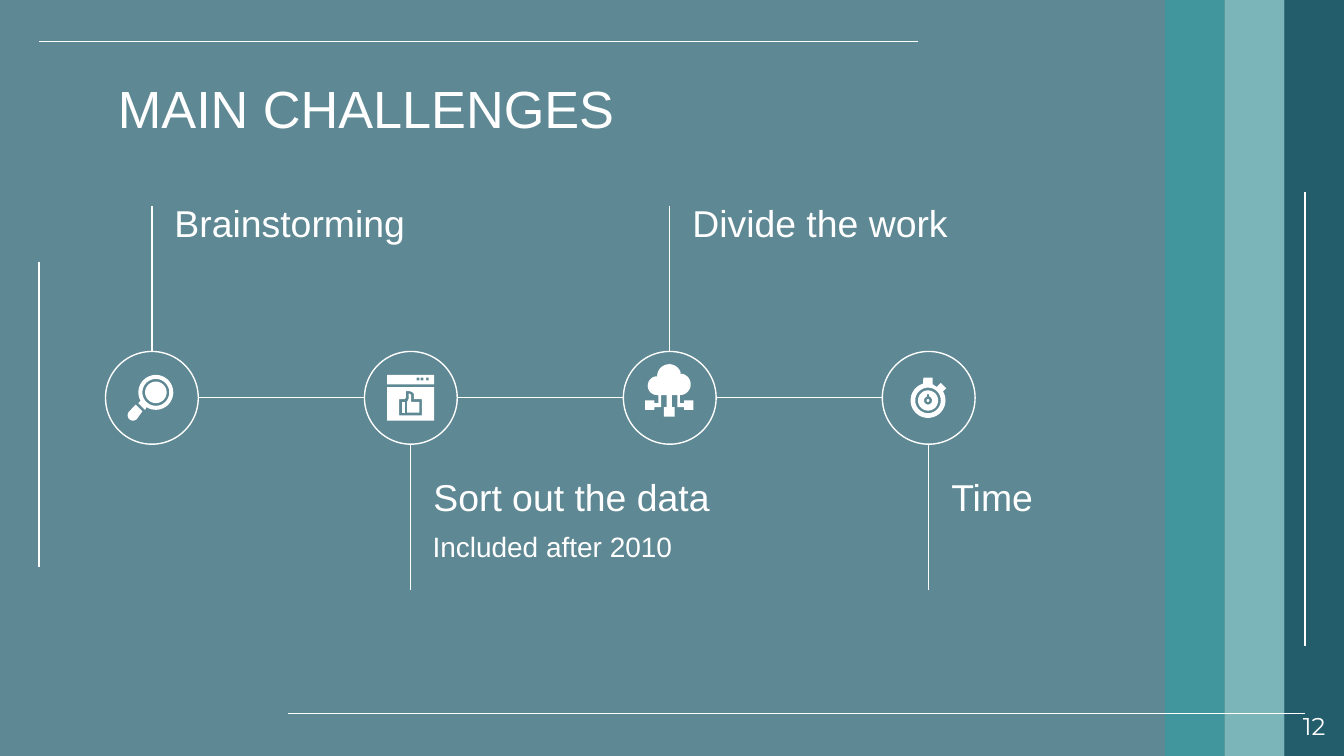
import math

import lxml.etree
import pptx
import pptx.dml.color
import pptx.enum.shapes
import pptx.enum.text
import pptx.oxml.ns
import pptx.util
from pptx.util import Inches

WHITE = "FFFFFF"
DARK = "014355"
SLIDE_WIDTH = 10
SLIDE_HEIGHT = SLIDE_WIDTH * 9 / 16
STRIPE_WIDTH = 4 / 9
FIRST_CENTER, LAST_CENTER = 1.13, 6.91
MIDDLE, RADIUS = 2.96, 0.345
STEM_TOP, STEM_BOTTOM = 1.53, 4.39
STEPS = [
    ("Brainstorming", True, 2.24),
    ("Sort out the data", False, 2.74),
    ("Divide the work", True, 2.24),
    ("Time", False, 2.24),
]
STEP_PITCH = (LAST_CENTER - FIRST_CENTER) / (len(STEPS) - 1)


def color(value):
    """Return the colour for a hex string."""
    return pptx.dml.color.RGBColor.from_string(value)


def add_panel(slide, left, width, fill, opacity):
    """Add a full-height translucent rectangle."""
    shape = slide.shapes.add_shape(
        pptx.enum.shapes.MSO_SHAPE.RECTANGLE,
        Inches(left), 0, Inches(width), Inches(SLIDE_HEIGHT))
    shape.shadow.inherit = False
    shape.line.fill.background()
    shape.fill.solid()
    shape.fill.fore_color.rgb = color(fill)
    tint = shape._element.spPr.find(".//" + pptx.oxml.ns.qn("a:srgbClr"))
    alpha = lxml.etree.SubElement(tint, pptx.oxml.ns.qn("a:alpha"))
    alpha.set("val", str(opacity * 1000))


def add_line(slide, x1, y1, x2, y2):
    """Add a thin white straight line."""
    line = slide.shapes.add_connector(
        pptx.enum.shapes.MSO_CONNECTOR.STRAIGHT,
        Inches(x1), Inches(y1), Inches(x2), Inches(y2))
    line.line.color.rgb = color(WHITE)
    line.line.width = pptx.util.Pt(0.75)
    lxml.etree.SubElement(line._element.spPr, pptx.oxml.ns.qn("a:effectLst"))


def add_text(slide, text, left, top, width, height, size, font="Arial", align="LEFT"):
    """Add a one-paragraph white text box."""
    box = slide.shapes.add_textbox(
        Inches(left), Inches(top), Inches(width), Inches(height))
    frame = box.text_frame
    frame.word_wrap = True
    frame.margin_left = frame.margin_right = Inches(0.1)
    frame.margin_top = frame.margin_bottom = Inches(0.1)
    paragraph = frame.paragraphs[0]
    paragraph.text = text
    paragraph.alignment = pptx.enum.text.PP_ALIGN[align]
    paragraph.font.size = pptx.util.Pt(size)
    paragraph.font.name = font
    paragraph.font.color.rgb = color(WHITE)


def add_circle(slide, center):
    """Add an outlined step circle."""
    shape = slide.shapes.add_shape(
        pptx.enum.shapes.MSO_SHAPE.OVAL, Inches(center - RADIUS),
        Inches(MIDDLE - RADIUS), Inches(2 * RADIUS), Inches(2 * RADIUS))
    shape.shadow.inherit = False
    shape.fill.background()
    shape.line.color.rgb = color(WHITE)
    shape.line.width = pptx.util.Pt(0.75)


def arc(x, y, radius, start=0, end=360):
    """Return points along an arc, in degrees clockwise from the right."""
    count = max(4, round((end - start) / 8))
    angles = [math.radians(start + (end - start) * i / count) for i in range(count + 1)]
    return [(x + radius * math.cos(a), y + radius * math.sin(a)) for a in angles]


def rectangle(left, top, right, bottom):
    """Return the corners of a rectangle."""
    return [(left, top), (right, top), (right, bottom), (left, bottom)]


def add_outline(slide, *contours):
    """Add a white freeform whose later contours cut holes."""
    contours = [[(Inches(x), Inches(y)) for x, y in points] for points in contours]
    builder = slide.shapes.build_freeform(*contours[0][0])
    builder.add_line_segments(contours[0][1:], close=True)
    for points in contours[1:]:
        builder.move_to(*points[0])
        builder.add_line_segments(points[1:], close=True)
    shape = builder.convert_to_shape()
    shape.shadow.inherit = False
    shape.line.fill.background()
    shape.fill.solid()
    shape.fill.fore_color.rgb = color(WHITE)


def add_magnifier(slide):
    """Draw the magnifying glass."""
    x, y = 1.16, 2.92
    add_outline(slide, arc(x, y, 0.08))
    add_outline(slide, arc(x, y, 0.13, 151, 482) + [(1.08, 3.05), (1.03, 3)],
                arc(x, y, 0.1))
    add_outline(slide, [(1.01, 3.01), (1.06, 3.06)] + arc(0.99, 3.09, 0.04, 45, 225))


def add_browser(slide):
    """Draw the browser window with a thumb up."""
    buttons = [rectangle(x, 2.81, x + 0.02, 2.83) for x in (3.1, 3.13, 3.17)]
    add_outline(slide, rectangle(2.88, 2.79, 3.23, 2.86), *buttons)
    hand = [(3.02, 2.91), (3.05, 2.91), (3.07, 2.92), (3.08, 2.93), (3.08, 2.97),
            (3.14, 2.97), (3.14, 3.09), (2.97, 3.09), (2.97, 2.97), (3.01, 2.97),
            (3.02, 2.96)]
    add_outline(slide, rectangle(2.88, 2.88, 3.23, 3.13), hand)
    add_outline(slide, rectangle(2.99, 2.99, 3.01, 3.07))
    add_outline(slide, [(3.04, 2.93), (3.05, 2.93), (3.06, 2.94), (3.06, 2.99),
                        (3.12, 2.99), (3.12, 3.07), (3.03, 3.07), (3.03, 2.99),
                        (3.04, 2.97)])


def add_cloud(slide):
    """Draw the cloud linked to three nodes."""
    middle = 4.98
    half = [(0.08, 2.94), (0.08, 3), (0.11, 3), (0.11, 2.98), (0.18, 2.98),
            (0.18, 3.05), (0.11, 3.05), (0.11, 3.03), (0.06, 3.03), (0.06, 2.94),
            (0.02, 2.94), (0.02, 3.03), (0.04, 3.03), (0.04, 3.1)]
    right = [(middle + x, y) for x, y in half]
    left = [(middle - x, y) for x, y in reversed(half)]
    add_outline(slide, arc(middle, 2.8, 0.09, 180, 341)
                + arc(5.06, 2.86, 0.08, -90, 90) + right + left
                + arc(4.89, 2.87, 0.07, 90, 270))


def add_stopwatch(slide):
    """Draw the stopwatch."""
    x, y = 6.905, 2.98
    add_outline(slide, arc(x, y, 0.01))
    add_outline(slide, arc(x, y, 0.075),
                arc(x, y, 0.03, -70, 250) + [(6.9, 2.93), (6.91, 2.93)])
    crown = [(6.87, 2.81), (6.94, 2.81), (6.94, 2.86), (6.97, 2.88),
             (7, 2.85), (7.04, 2.89), (7.01, 2.92)]
    add_outline(slide, arc(x, y, 0.13, -30, 254) + crown, arc(x, y, 0.095))


def add_backdrop(slide):
    """Add the tinted background, stripes and frame lines."""
    add_panel(slide, 0, SLIDE_WIDTH, DARK, 63)
    stripes = [(DARK, 63), ("98E0E0", 50), ("20A7A7", 47)]
    for number, (fill, opacity) in enumerate(stripes, 1):
        add_panel(slide, SLIDE_WIDTH - number * STRIPE_WIDTH, STRIPE_WIDTH, fill, opacity)
    for ends in [(9.71, 1.43, 9.71, 4.81), (9.71, 5.31, 2.14, 5.31),
                 (0.29, 0.31, 6.83, 0.31), (0.29, 1.95, 0.29, 4.22)]:
        add_line(slide, *ends)


def add_step(slide, index, label, upward, width):
    """Add a circle with its stem, label and link to the next step."""
    center = FIRST_CENTER + index * STEP_PITCH
    add_circle(slide, center)
    if upward:
        add_line(slide, center, MIDDLE - RADIUS, center, STEM_TOP)
    else:
        add_line(slide, center, STEM_BOTTOM, center, MIDDLE + RADIUS)
    add_text(slide, label, center + 0.07, 1.39 if upward else 3.43, width, 0.4, 20)
    if index < len(STEPS) - 1:
        add_line(slide, center + RADIUS, MIDDLE, center + STEP_PITCH - RADIUS, MIDDLE)


def main():
    """Build and save the slide."""
    presentation = pptx.Presentation()
    presentation.slide_width = Inches(SLIDE_WIDTH)
    presentation.slide_height = Inches(SLIDE_HEIGHT)
    slide = presentation.slides.add_slide(presentation.slide_layouts[6])
    add_backdrop(slide)
    add_text(slide, "MAIN CHALLENGES", 0.78, 0.47, 8.44, 0.51, 28)
    for index, step in enumerate(STEPS):
        add_step(slide, index, *step)
    add_text(slide, "Included after 2010", 3.12, 3.84, 2.24, 0.58, 15)
    for add_icon in (add_browser, add_magnifier, add_cloud, add_stopwatch):
        add_icon(slide)
    add_text(slide, "12", 9.36, 5.19, 0.6, 0.43, 13, "Montserrat", "RIGHT")
    presentation.save("out.pptx")


if __name__ == "__main__":
    main()
